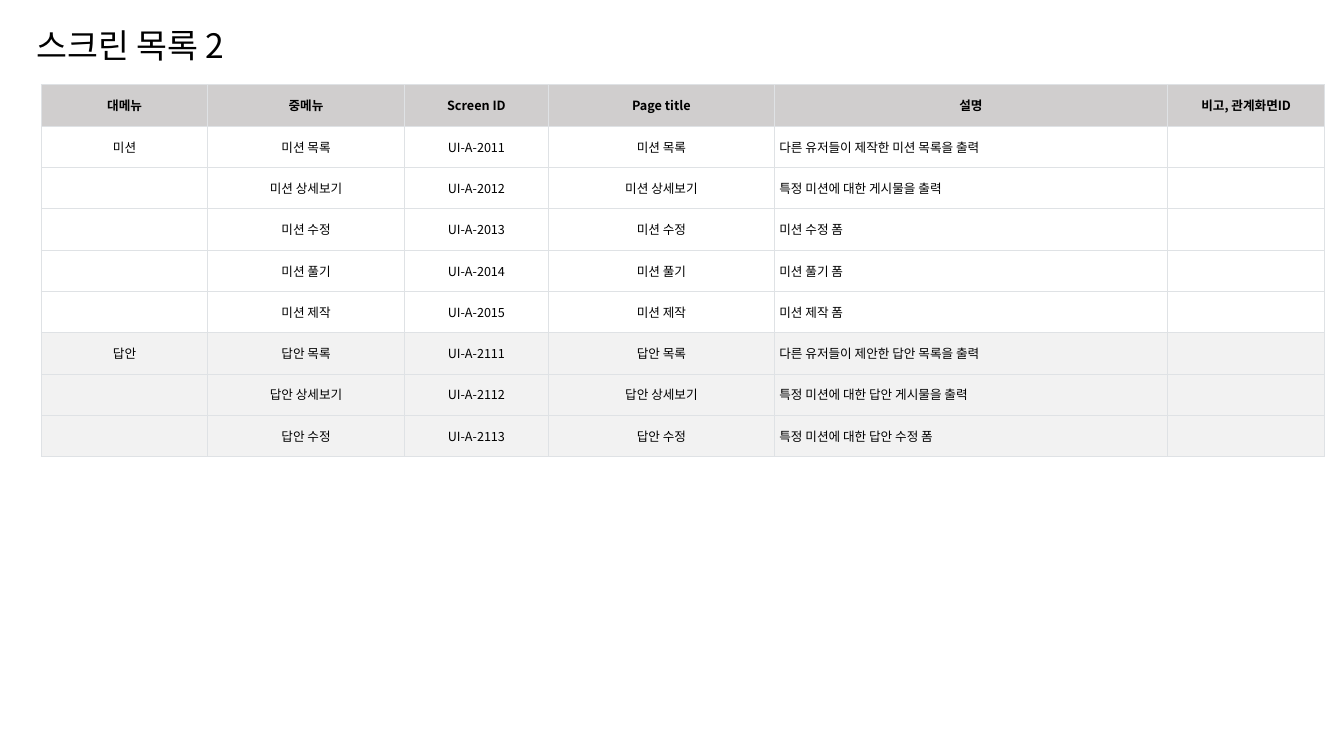
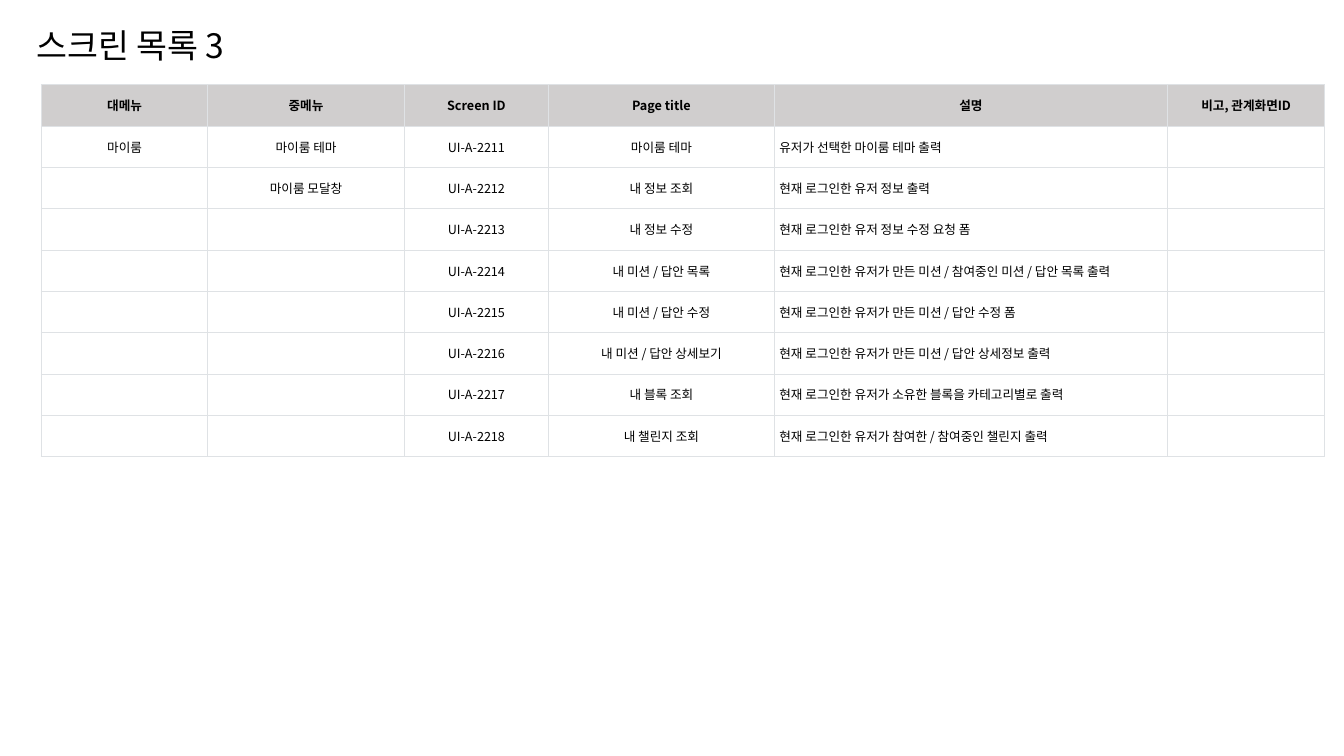
from dataclasses import dataclass
from typing import NamedTuple

import pptx
import pptx.dml.color
import pptx.enum.text
import pptx.oxml
import pptx.oxml.ns
import pptx.util
from pptx.util import Inches

Align = pptx.enum.text.PP_ALIGN
Anchor = pptx.enum.text.MSO_ANCHOR


@dataclass(frozen=True)
class Theme:
    font: str = "Noto Sans CJK KR"
    ink: str = "000000"
    head: str = "D0CECE"
    plain: str = "FFFFFF"
    shade: str = "F2F2F2"
    rule: str = "DFE2E5"
    rule_pt: float = 0.6
    title_pt: int = 24
    cell_pt: int = 9


class Row(NamedTuple):
    menu: str
    sub: str
    code: str
    page: str
    about: str
    note: str = ""


class Group(NamedTuple):
    fill: str
    rows: list[Row]


class Page(NamedTuple):
    title: str
    groups: list[Group]


THEME = Theme()
WIDTHS = (1.65, 1.95, 1.43, 2.24, 3.9, 1.56)
HEIGHT = 0.41
HEAD = Row("대메뉴", "중메뉴", "Screen ID", "Page title", "설명", "비고, 관계화면ID")
ABOUT = Row._fields.index("about")

PAGES = [
    Page("스크린 목록 2", [
        Group(THEME.plain, [
            Row("미션", "미션 목록", "UI-A-2011", "미션 목록", "다른 유저들이 제작한 미션 목록을 출력"),
            Row("", "미션 상세보기", "UI-A-2012", "미션 상세보기", "특정 미션에 대한 게시물을 출력"),
            Row("", "미션 수정", "UI-A-2013", "미션 수정", "미션 수정 폼"),
            Row("", "미션 풀기", "UI-A-2014", "미션 풀기", "미션 풀기 폼"),
            Row("", "미션 제작", "UI-A-2015", "미션 제작", "미션 제작 폼"),
        ]),
        Group(THEME.shade, [
            Row("답안", "답안 목록", "UI-A-2111", "답안 목록", "다른 유저들이 제안한 답안 목록을 출력"),
            Row("", "답안 상세보기", "UI-A-2112", "답안 상세보기", "특정 미션에 대한 답안 게시물을 출력"),
            Row("", "답안 수정", "UI-A-2113", "답안 수정", "특정 미션에 대한 답안 수정 폼"),
        ]),
    ]),
    Page("스크린 목록 3", [
        Group(THEME.plain, [
            Row("마이룸", "마이룸 테마", "UI-A-2211", "마이룸 테마", "유저가 선택한 마이룸 테마 출력"),
            Row("", "마이룸 모달창", "UI-A-2212", "내 정보 조회", "현재 로그인한 유저 정보 출력"),
            Row("", "", "UI-A-2213", "내 정보 수정", "현재 로그인한 유저 정보 수정 요청 폼"),
            Row("", "", "UI-A-2214", "내 미션 / 답안 목록",
                "현재 로그인한 유저가 만든 미션 / 참여중인 미션 / 답안 목록 출력"),
            Row("", "", "UI-A-2215", "내 미션 / 답안 수정", "현재 로그인한 유저가 만든 미션 / 답안 수정 폼"),
            Row("", "", "UI-A-2216", "내 미션 / 답안 상세보기",
                "현재 로그인한 유저가 만든 미션 / 답안 상세정보 출력"),
            Row("", "", "UI-A-2217", "내 블록 조회", "현재 로그인한 유저가 소유한 블록을 카테고리별로 출력"),
            Row("", "", "UI-A-2218", "내 챌린지 조회", "현재 로그인한 유저가 참여한 / 참여중인 챌린지 출력"),
        ]),
    ]),
]


def color(code: str) -> pptx.dml.color.RGBColor:
    return pptx.dml.color.RGBColor.from_string(code)


def style(para, size: int, align: Align, bold: bool = False) -> None:
    """Format a paragraph, with one font for Latin and Korean text."""
    para.alignment = align
    font = para.font
    font.name, font.size, font.bold = THEME.font, pptx.util.Pt(size), bold
    font.color.rgb = color(THEME.ink)
    latin = para._p.pPr.find(".//" + pptx.oxml.ns.qn("a:latin"))
    latin.addnext(pptx.oxml.parse_xml(
        f'<a:ea {pptx.oxml.ns.nsdecls("a")} typeface="{THEME.font}"/>'))


def border(cell) -> None:
    props = cell._tc.get_or_add_tcPr()
    width = int(pptx.util.Pt(THEME.rule_pt))
    for spot, side in enumerate(("lnL", "lnR", "lnT", "lnB")):
        props.insert(spot, pptx.oxml.parse_xml(
            f'<a:{side} {pptx.oxml.ns.nsdecls("a")} w="{width}"><a:solidFill>'
            f'<a:srgbClr val="{THEME.rule}"/></a:solidFill></a:{side}>'))


def fill_cell(cell, text: str, fill: str, align: Align, bold: bool) -> None:
    cell.text = text
    cell.vertical_anchor = Anchor.MIDDLE
    cell.margin_left = cell.margin_right = Inches(0.05)
    cell.margin_top = cell.margin_bottom = Inches(0.02)
    cell.fill.solid()
    cell.fill.fore_color.rgb = color(fill)
    border(cell)
    style(cell.text_frame.paragraphs[0], THEME.cell_pt, align, bold)


def add_title(slide, text: str) -> None:
    title = slide.shapes.title
    title.left, title.top = Inches(0.26), Inches(0.2)
    title.width, title.height = Inches(2.4), Inches(0.5)
    frame = title.text_frame
    frame.text = text
    frame.word_wrap = True
    frame.auto_size = pptx.enum.text.MSO_AUTO_SIZE.NONE
    frame.vertical_anchor = Anchor.MIDDLE
    style(frame.paragraphs[0], THEME.title_pt, Align.LEFT)


def add_list(slide, groups: list[Group]) -> None:
    """Add the screen table: a header row, then each group in its fill."""
    lines = [(THEME.head, HEAD)]
    lines += [(group.fill, row) for group in groups for row in group.rows]
    table = slide.shapes.add_table(
        len(lines), len(WIDTHS), Inches(0.41), Inches(0.84),
        Inches(sum(WIDTHS)), Inches(HEIGHT * len(lines))).table
    table.horz_banding = False
    for column, width in zip(table.columns, WIDTHS):
        column.width = Inches(width)
    for y, (fill, row) in enumerate(lines):
        table.rows[y].height = Inches(HEIGHT)
        for x, text in enumerate(row):
            align = Align.LEFT if y and x == ABOUT else Align.CENTER
            fill_cell(table.cell(y, x), text, fill, align, bold=y == 0)


def main() -> None:
    deck = pptx.Presentation()
    deck.slide_width, deck.slide_height = Inches(13.33), Inches(7.5)
    layout = deck.slide_layouts.get_by_name("Title Only")
    for page in PAGES:
        slide = deck.slides.add_slide(layout)
        add_list(slide, page.groups)
        add_title(slide, page.title)
    deck.save("out.pptx")


if __name__ == "__main__":
    main()
